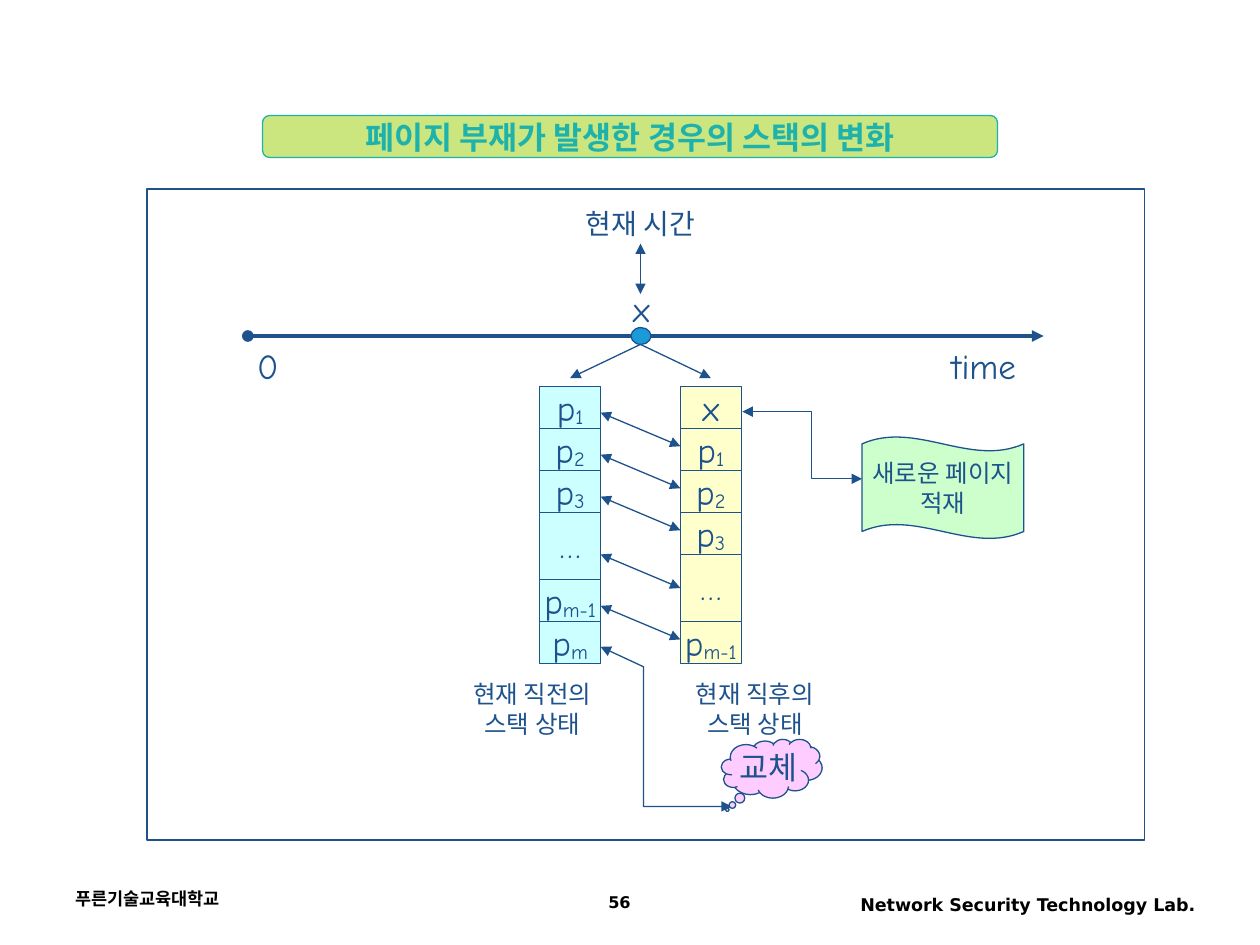
from lxml import etree
from pptx import Presentation
from pptx.dml.color import RGBColor
from pptx.enum.shapes import MSO_CONNECTOR, MSO_SHAPE
from pptx.enum.text import MSO_ANCHOR, MSO_AUTO_SIZE, PP_ALIGN
from pptx.oxml.ns import qn
from pptx.util import Pt

PX = 7620
NAVY = RGBColor(0x1D, 0x52, 0x8D)
BLUE = RGBColor(0x1B, 0x9A, 0xD9)
TEAL = RGBColor(0x1D, 0xB3, 0xAC)
LIME = RGBColor(0x99, 0xCC, 0x00)
CYAN = RGBColor(0xCC, 0xFF, 0xFF)
YELLOW = RGBColor(0xFF, 0xFF, 0xCC)
GREEN = RGBColor(0xCC, 0xFF, 0xCC)
PINK = RGBColor(0xFF, 0xCC, 0xFF)
WHITE = RGBColor(0xFF, 0xFF, 0xFF)
BLACK = RGBColor(0x00, 0x00, 0x00)
RECTANGLE, OVAL = MSO_SHAPE.RECTANGLE, MSO_SHAPE.OVAL
CLOUD, WAVE = MSO_SHAPE.CLOUD_CALLOUT, MSO_SHAPE.WAVE
ROUNDED = MSO_SHAPE.FLOWCHART_ALTERNATE_PROCESS
LEFT, CENTER, RIGHT = PP_ALIGN.LEFT, PP_ALIGN.CENTER, PP_ALIGN.RIGHT
MIDDLE = MSO_ANCHOR.MIDDLE
NO_FIT = MSO_AUTO_SIZE.NONE
STRAIGHT = MSO_CONNECTOR.STRAIGHT


def write(frame, text, size, color=NAVY, font="Comic Neue", bold=False, align=CENTER):
    frame.text = text
    for paragraph in frame.paragraphs:
        paragraph.alignment = align
        base, _, subscript = paragraph.text.partition("_")
        paragraph.runs[0].text = base
        if subscript:
            run = paragraph.add_run()
            run.text = subscript
            run._r.get_or_add_rPr().set("baseline", "-10000")
        for run in paragraph.runs:
            run.font.name = font
            run.font.size = Pt(size)
            run.font.bold = bold
            run.font.color.rgb = color


def add_box(kind, x, y, width, height, fill, text="", size=20, adjustments=(), border=NAVY):
    shape = slide.shapes.add_shape(kind, x * PX, y * PX, width * PX, height * PX)
    shape.shadow.inherit = False
    shape.fill.solid()
    shape.fill.fore_color.rgb = fill
    shape.line.color.rgb = border
    shape.line.width = Pt(0.75)
    for index, value in enumerate(adjustments):
        shape.adjustments[index] = value
    if text:
        shape.text_frame.word_wrap = False
        shape.text_frame.vertical_anchor = MIDDLE
        write(shape.text_frame, text, size)
    return shape


presentation = Presentation()
presentation.slide_width = 1200 * PX
presentation.slide_height = 900 * PX
slide = presentation.slides.add_slide(presentation.slide_layouts[5])

banner = add_box(ROUNDED, 250, 110, 700, 40, LIME, border=TEAL)
lime = banner._element.spPr.find(qn("a:solidFill"))[0]
etree.SubElement(lime, qn("a:alpha"), val="50000")

title = slide.shapes.title
title._element.addprevious(banner._element)
title.left, title.top, title.width, title.height = banner.left, banner.top, banner.width, banner.height
title.text_frame.auto_size = NO_FIT
title.text_frame.word_wrap = True
title.text_frame.vertical_anchor = MIDDLE
write(title.text_frame, "페이지 부재가 발생한 경우의 스택의 변화", 18, TEAL, "Arial Narrow", True)

add_box(RECTANGLE, 140, 180, 950, 620, WHITE)

stacks = [
    (514, CYAN, ["p_1", "p_2", "p_3", "…", "p_m-1", "p_m"]),
    (648, YELLOW, ["x", "p_1", "p_2", "p_3", "…", "p_m-1"]),
]
lines = [
    ([(236, 320), (994, 320)], 2.25, "oval"),
    ([(610, 232), (610, 280)], 0.75, "triangle"),
    ([(543, 360), (610, 328), (677, 360)], 0.75, "triangle"),
    ([(572, 616), (613, 635), (613, 768), (697, 768)], 0.75, "triangle"),
    ([(821, 456), (773, 456), (773, 392), (707, 392)], 0.75, "triangle"),
]
for left, color, cells in stacks:
    top = 368
    for cell in cells:
        height = 64 if cell == "…" else 40
        add_box(RECTANGLE, left, top, 58, height, color, cell, 18 if cell == "…" else 20)
        if color == CYAN and cell != "p_m":
            start = top + height * 5 // 8
            lines.append(([(572, start), (648, start + 32)], 0.75, "triangle"))
        top += height

for points, width, head in lines:
    if len(points) == 2:
        (x1, y1), (x2, y2) = points
        line = slide.shapes.add_connector(STRAIGHT, x1 * PX, y1 * PX, x2 * PX, y2 * PX)
    else:
        builder = slide.shapes.build_freeform(*points[0], scale=PX)
        builder.add_line_segments(points[1:], close=False)
        line = builder.convert_to_shape()
        line.fill.background()
    line.line.color.rgb = NAVY
    line.line.width = Pt(width)
    outline = line.line._get_or_add_ln()
    etree.SubElement(outline, qn("a:headEnd"), type=head)
    etree.SubElement(outline, qn("a:tailEnd"), type="triangle")
    etree.SubElement(line._element.spPr, qn("a:effectLst"))

add_box(OVAL, 601, 312, 19, 16, BLUE)
add_box(CLOUD, 687, 704, 96, 56, PINK, "교체", 18, (-0.44, 0.7))
add_box(WAVE, 821, 416, 154, 97, GREEN, "새로운 페이지\n적재", 14, (0.07, 0))

labels = [
    (581, 268, 60, 53, "x", 20),
    (877, 322, 120, 53, "time", 20),
    (225, 322, 60, 53, "0", 20),
    (530, 191, 160, 44, "현재 시간", 16),
    (427, 641, 160, 68, "현재 직전의\n스택 상태", 14),
    (639, 641, 160, 68, "현재 직후의\n스택 상태", 14),
]
for x, y, width, height, text, size in labels:
    box = slide.shapes.add_textbox(x * PX, y * PX, width * PX, height * PX)
    box.text_frame.word_wrap = True
    write(box.text_frame, text, size)

footers = [
    (60, 840, 280, 40, "푸른기술교육대학교", 10, LEFT),
    (770, 846, 380, 38, "Network Security Technology Lab.", 10, RIGHT),
    (450, 844, 280, 34, "56", 9.2, CENTER),
]
for x, y, width, height, text, size, align in footers:
    box = slide.shapes.add_textbox(x * PX, y * PX, width * PX, height * PX)
    box.text_frame.word_wrap = True
    write(box.text_frame, text, size, BLACK, "DejaVu Sans", True, align)

presentation.save("out.pptx")
